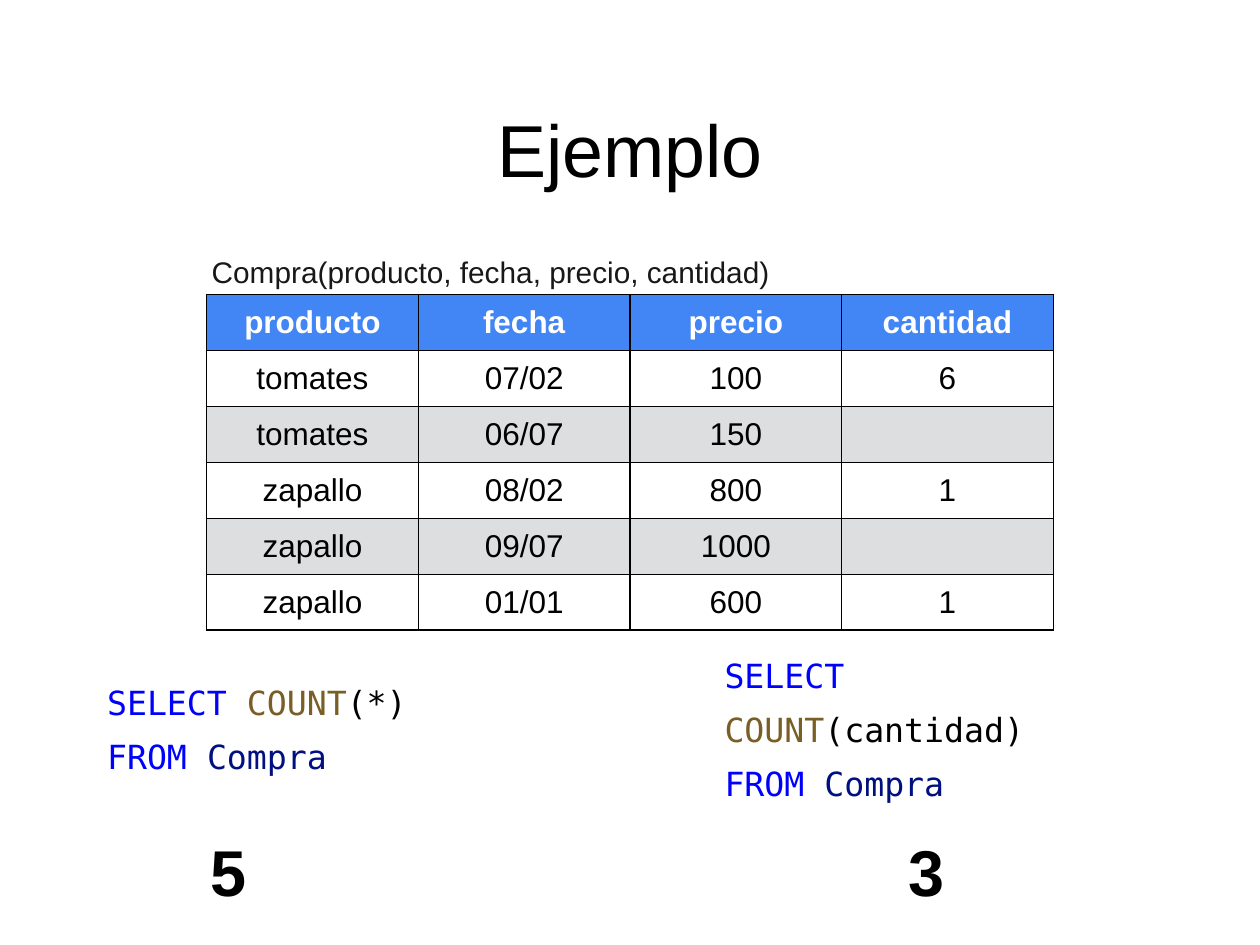
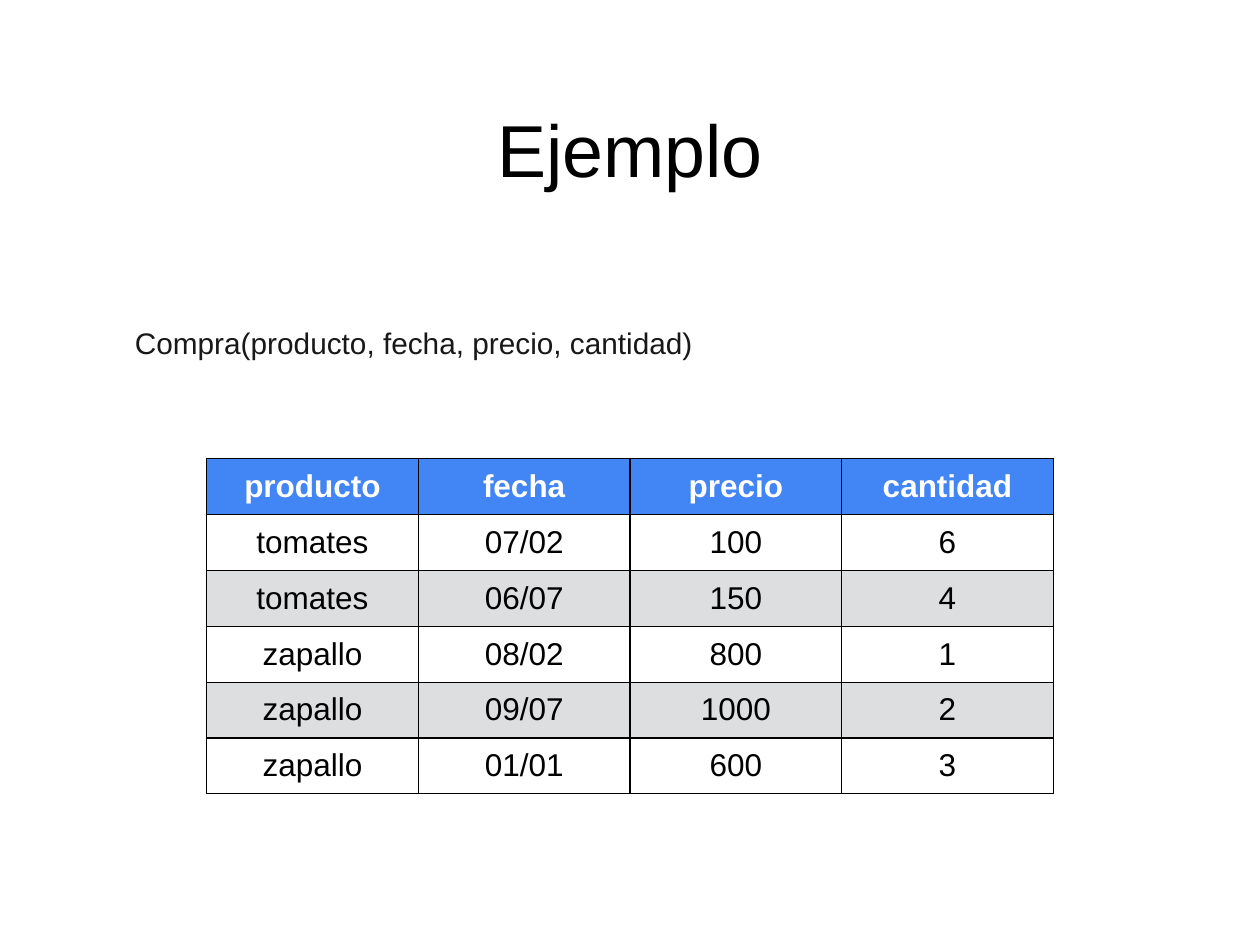
from lxml import etree
from pptx import Presentation
from pptx.dml.color import RGBColor
from pptx.enum.text import MSO_ANCHOR, MSO_AUTO_SIZE, PP_ALIGN
from pptx.oxml.ns import qn
from pptx.util import Inches, Pt

MIDDLE = MSO_ANCHOR.MIDDLE
FIT = MSO_AUTO_SIZE.SHAPE_TO_FIT_TEXT
LEFT, CENTER = PP_ALIGN.LEFT, PP_ALIGN.CENTER

COLUMNS, ROWS = 100, 75
UNIT = Inches(10) / COLUMNS
MARGIN = Inches(0.04)
BLANK_LAYOUT = 6

COLORS = {
    "black": "000000",
    "white": "FFFFFF",
    "header": "4285F4",
    "band": "DCDEE0",
    "caption": "181818",
    "keyword": "0000FF",
    "function": "795E26",
    "name": "001080",
}
SANS, MONO = "Arial", "DejaVu Sans Mono"

TITLE = {"name": SANS, "size": Pt(42)}
CAPTION = {"name": SANS, "size": Pt(17)}
CODE = {"name": MONO, "size": Pt(19)}
RESULT = {"name": SANS, "size": Pt(37), "bold": True}
HEAD_CELL = {"name": SANS, "size": Pt(18), "bold": True}
BODY_CELL = {"name": SANS, "size": Pt(18), "bold": False}

MARGINS = {f"margin_{side}": MARGIN for side in ("left", "top", "right", "bottom")}
FRAME = {"word_wrap": True, "auto_size": FIT, "vertical_anchor": MIDDLE, **MARGINS}
CELL = {"vertical_anchor": MIDDLE, **MARGINS}
LOOSE, CODE_SPACING = 1.79, 1.36
CODE_BOTTOM = Inches(0.59)

TITLE_BOX = (39, 7.8, 22, 7.9)
CAPTION_SIZE = (79.4, 3.7)
TABLE_SIZE = (67.2, 26.6)
TABLE_LEFT = (COLUMNS - TABLE_SIZE[0]) / 2

HEADINGS = ("producto", "fecha", "precio", "cantidad")
PURCHASES = (
    ("tomates", "07/02", "100"),
    ("tomates", "06/07", "150"),
    ("zapallo", "08/02", "800"),
    ("zapallo", "09/07", "1000"),
    ("zapallo", "01/01", "600"),
)


def grid(*lengths):
    return [round(length * UNIT) for length in lengths]


def apply_format(target, values):
    for attribute, value in values.items():
        setattr(target, attribute, value)


def add_spans(para, spans, font, align=LEFT, spacing=None):
    apply_format(para, {"alignment": align, "line_spacing": spacing})
    for text, color in spans:
        span = para.add_run()
        span.text = text
        apply_format(span.font, font)
        span.font.color.rgb = RGBColor.from_string(COLORS[color])


def add_text(page, box, lines, font, align=LEFT, spacing=None, **frame_values):
    frame = page.shapes.add_textbox(*grid(*box)).text_frame
    apply_format(frame, {**FRAME, **frame_values})
    for index, spans in enumerate(lines):
        para = frame.add_paragraph() if index else frame.paragraphs[0]
        add_spans(para, spans, font, align, spacing)


def add_caption(page, left, top):
    text = f"Compra({', '.join(HEADINGS)})"
    add_text(page, (left, top, *CAPTION_SIZE), [[(text, "caption")]], CAPTION, spacing=LOOSE)


def add_borders(cell):
    properties = cell._tc.get_or_add_tcPr()
    for side in ("lnL", "lnR", "lnT", "lnB"):
        line = etree.SubElement(properties, qn(f"a:{side}"), w=str(Pt(0.75)))
        fill = etree.SubElement(line, qn("a:solidFill"))
        etree.SubElement(fill, qn("a:srgbClr"), val=COLORS["black"])


def add_purchases(page, top, quantities):
    records = [HEADINGS] + [(*purchase, quantity) for purchase, quantity in zip(PURCHASES, quantities)]
    box = grid(TABLE_LEFT, top, *TABLE_SIZE)
    table = page.shapes.add_table(len(records), len(HEADINGS), *box).table
    table.horz_banding = False
    for row, record in enumerate(records):
        if row == 0:
            fill, color, font = "header", "white", HEAD_CELL
        else:
            fill, color, font = ("white" if row % 2 else "band"), "black", BODY_CELL
        for column, text in enumerate(record):
            cell = table.cell(row, column)
            apply_format(cell, CELL)
            add_borders(cell)
            cell.fill.solid()
            cell.fill.fore_color.rgb = RGBColor.from_string(COLORS[fill])
            if text:
                add_spans(cell.text_frame.paragraphs[0], [(text, color)], font, CENTER)


def add_query(page, box, argument, result, result_shift):
    left, top = box[:2]
    lines = [
        [("SELECT", "keyword"), (" ", "black"), ("COUNT", "function"), (f"({argument})", "black")],
        [("FROM", "keyword"), (" ", "black"), ("Compra", "name")],
    ]
    add_text(page, box, lines, CODE, spacing=CODE_SPACING, margin_bottom=CODE_BOTTOM)
    result_box = (left + result_shift, top + 9.5, 3.7, 7)
    add_text(page, result_box, [[(result, "black")]], RESULT, spacing=LOOSE)


def add_example_page(deck):
    page = deck.slides.add_slide(deck.slide_layouts[BLANK_LAYOUT])
    add_text(page, TITLE_BOX, [[("Ejemplo", "black")]], TITLE, CENTER)
    return page


def build_count_page(deck):
    page = add_example_page(deck)
    add_purchases(page, 23.4, ("6", "", "1", "", "1"))
    add_query(page, (8.1, 53.7, 26.5, 12.7), "*", "5", 8.2)
    add_query(page, (57.1, 53.7, 34.9, 12.7), "cantidad", "3", 14.6)
    add_caption(page, TABLE_LEFT, 18.6)


def build_table_page(deck):
    page = add_example_page(deck)
    add_caption(page, (COLUMNS - CAPTION_SIZE[0]) / 2, 24.2)
    add_purchases(page, 36.4, ("6", "4", "1", "2", "3"))


def main():
    deck = Presentation()
    deck.slide_width, deck.slide_height = grid(COLUMNS, ROWS)
    build_count_page(deck)
    build_table_page(deck)
    deck.save("out.pptx")


if __name__ == "__main__":
    main()
